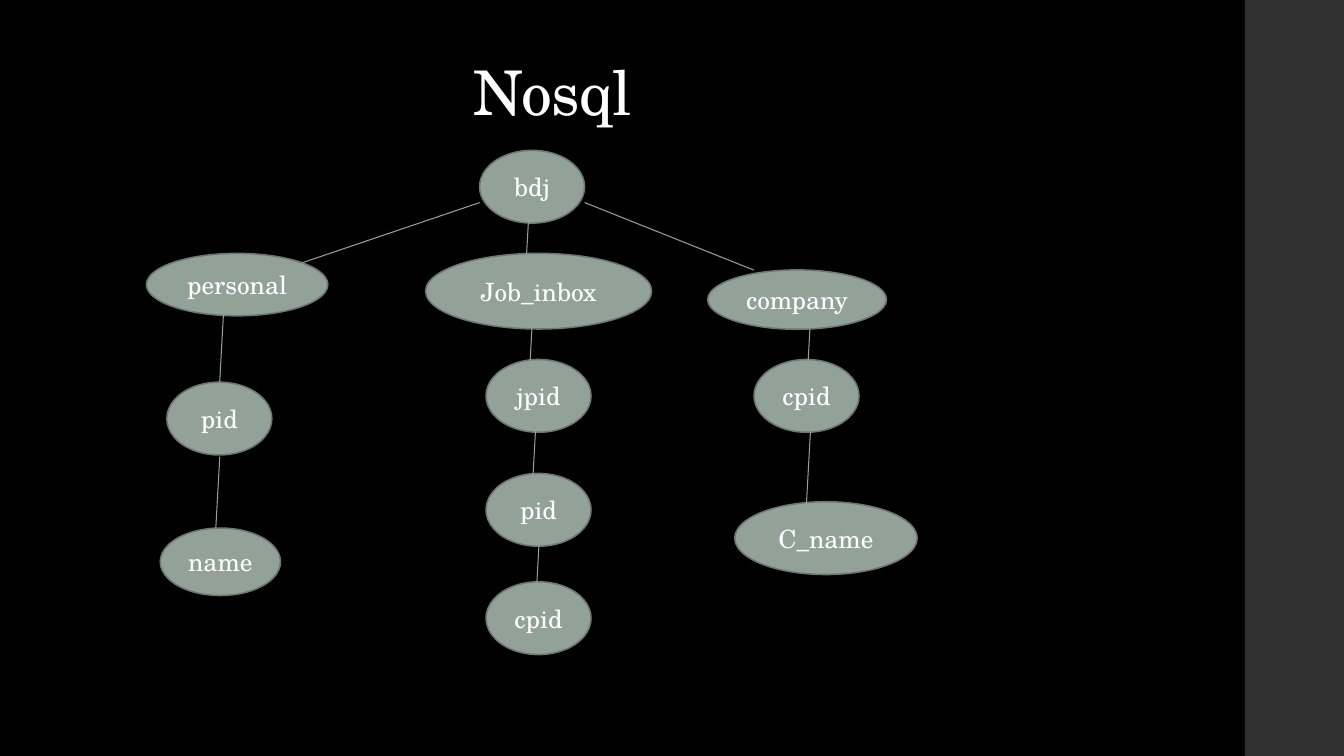
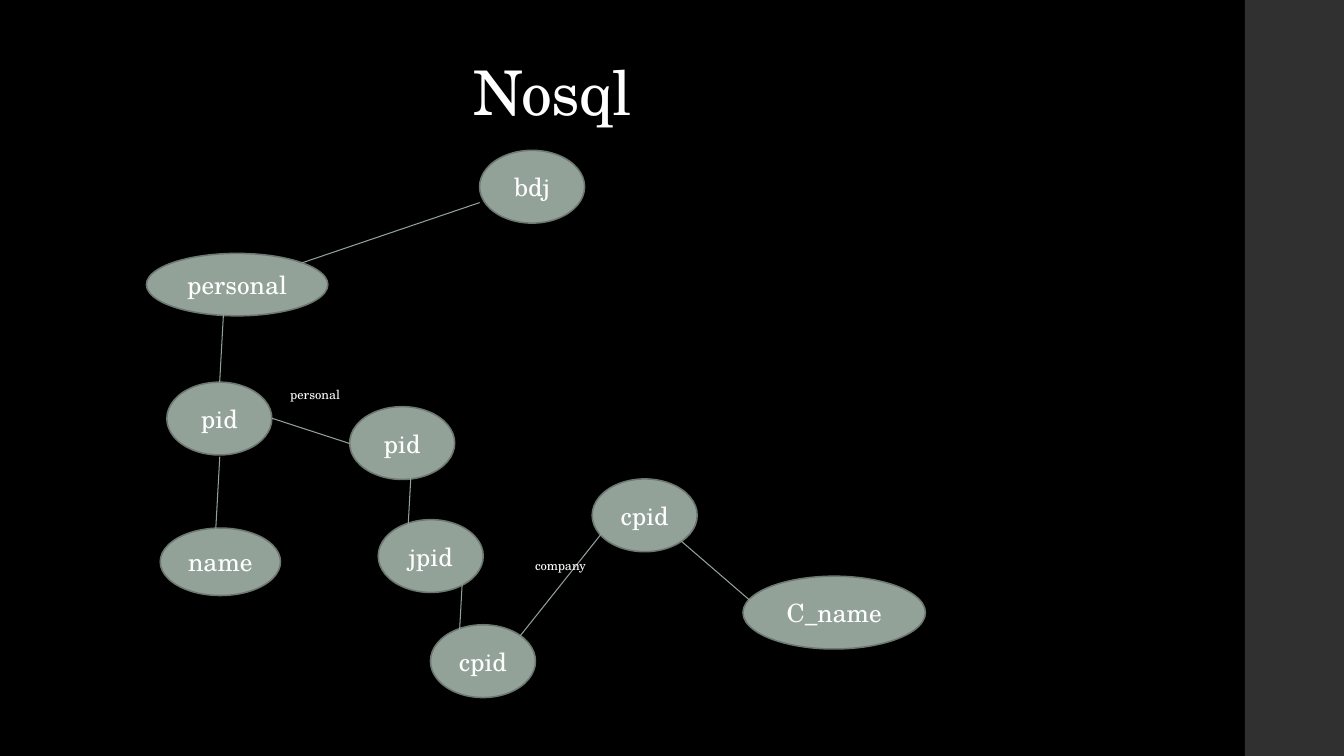
from dataclasses import dataclass

import lxml.etree
import pptx
import pptx.dml.color
import pptx.enum.shapes
import pptx.enum.text
import pptx.oxml.ns
import pptx.util

Pt = pptx.util.Pt
RGB = pptx.dml.color.RGBColor.from_string
MSO_ANCHOR = pptx.enum.text.MSO_ANCHOR
PP_ALIGN = pptx.enum.text.PP_ALIGN
SHAPE = pptx.enum.shapes.MSO_SHAPE


# Theme
@dataclass(frozen=True)
class Theme:
    background: str = "000000"
    band: str = "303030"
    node: str = "93A299"
    outline: str = "6D7871"
    text: str = "FFFFFF"
    font: str = "TeX Gyre Schola"
    title_size: float = 44
    node_size: float = 18
    label_size: float = 9
    outline_width: float = 1.1
    edge_width: float = 0.75


THEME = Theme()


# Diagram parts, all lengths in points
@dataclass(frozen=True)
class Node:
    text: str
    x: float
    y: float
    w: float = 75
    h: float = 52


@dataclass(frozen=True)
class Edge:
    x1: float
    y1: float
    x2: float
    y2: float


@dataclass(frozen=True)
class Label:
    text: str
    x: float
    y: float
    w: float = 59.8
    h: float = 18


@dataclass(frozen=True)
class Diagram:
    title: str
    nodes: list[Node]
    edges: list[Edge]
    labels: list[Label]


def drop(x: float, y: float) -> Edge:
    """The short, slightly slanted edge between a node and the one below."""
    return Edge(x, y, x - 2.9, y + 52.2)


# Content: the personal branch stands on both slides
PERSONAL_NODES = [
    Node("bdj", 342.6, 107.4),
    Node("personal", 104.6, 181, 129.6, 44.6),
    Node("pid", 119.2, 273),
    Node("name", 114.5, 377.2, 85.9, 48.2),
]
PERSONAL_EDGES = [
    Edge(342.7, 144.7, 215.3, 187.9),
    drop(159.8, 221),
    drop(157, 326.2),
]
DIAGRAMS = [
    Diagram(
        "Nosql",
        PERSONAL_NODES + [
            Node("Job_inbox", 304, 181, 161.5, 54),
            Node("company", 505.5, 192.8, 127.7, 42.4),
            Node("jpid", 347.2, 256.8),
            Node("pid", 347.2, 338.2),
            Node("cpid", 347.2, 415.6),
            Node("cpid", 538.6, 256.8),
            Node("C_name", 524.8, 358.4, 130.3),
        ],
        PERSONAL_EDGES + [
            drop(380.2, 230.4),
            drop(383, 298.8),
            drop(385.9, 373),
            drop(578.9, 228.2),
            drop(578.9, 308.2),
            Edge(417.6, 144.7, 538.6, 193),
            drop(378, 148.3),
        ],
        [],
    ),
    Diagram(
        "Nosql",
        PERSONAL_NODES + [
            Node("jpid", 270.2, 371.2),
            Node("pid", 249.8, 290.5),
            Node("cpid", 307.5, 446.3),
            Node("cpid", 423, 342.1),
            Node("C_name", 530.7, 411.6, 130.3),
        ],
        PERSONAL_EDGES + [
            drop(293.8, 334.8),
            Edge(435.6, 373.7, 371.5, 454.3),
            Edge(486.7, 386.6, 544.3, 436.3),
            drop(330.5, 410.4),
            Edge(194.4, 298.8, 249.8, 316.8),
        ],
        [Label("personal", 200.2, 272.9), Label("company", 375.1, 395.3)],
    ),
]


# Drawing functions
def add_run(p, text: str, size: float):
    r = p.add_run()
    r.text = text
    r.font.size = Pt(size)
    r.font.name = THEME.font
    r.font.color.rgb = RGB(THEME.text)
    return r


def set_title(s, text: str) -> None:
    sp = s.shapes.title
    sp.left, sp.top, sp.width, sp.height = Pt(331.2), Pt(38.2), Pt(399.6), Pt(57.6)
    tf = sp.text_frame
    tf.auto_size = pptx.enum.text.MSO_AUTO_SIZE.NONE
    tf.vertical_anchor = MSO_ANCHOR.BOTTOM
    p = tf.paragraphs[0]
    p.alignment = PP_ALIGN.LEFT
    p.line_spacing = 0.9
    r = add_run(p, text, THEME.title_size)
    r.font._element.set("spc", "-50")


def add_node(s, node: Node) -> None:
    sp = s.shapes.add_shape(SHAPE.OVAL, Pt(node.x), Pt(node.y), Pt(node.w), Pt(node.h))
    sp.shadow.inherit = False
    sp.fill.solid()
    sp.fill.fore_color.rgb = RGB(THEME.node)
    sp.line.color.rgb = RGB(THEME.outline)
    sp.line.width = Pt(THEME.outline_width)
    tf = sp.text_frame
    tf.word_wrap = False
    tf.vertical_anchor = MSO_ANCHOR.MIDDLE
    p = tf.paragraphs[0]
    p.alignment = PP_ALIGN.CENTER
    add_run(p, node.text, THEME.node_size)


def add_edge(s, edge: Edge) -> None:
    line = s.shapes.add_connector(
        pptx.enum.shapes.MSO_CONNECTOR.STRAIGHT,
        Pt(edge.x1), Pt(edge.y1), Pt(edge.x2), Pt(edge.y2))
    line.line.color.rgb = RGB(THEME.node)
    line.line.width = Pt(THEME.edge_width)
    lxml.etree.SubElement(line.element.spPr, pptx.oxml.ns.qn("a:effectLst"))


def add_label(s, label: Label) -> None:
    sp = s.shapes.add_textbox(Pt(label.x), Pt(label.y), Pt(label.w), Pt(label.h))
    tf = sp.text_frame
    tf.word_wrap = True
    tf.auto_size = pptx.enum.text.MSO_AUTO_SIZE.SHAPE_TO_FIT_TEXT
    add_run(tf.paragraphs[0], label.text, THEME.label_size)


def style_layout(layout, s) -> None:
    """Give the layout its background and side band, made on s and moved over."""
    fill = layout.background.fill
    fill.solid()
    fill.fore_color.rgb = RGB(THEME.background)
    band = s.shapes.add_shape(SHAPE.RECTANGLE, Pt(889.2), Pt(0), Pt(70.8), Pt(540))
    band.shadow.inherit = False
    band.fill.solid()
    band.fill.fore_color.rgb = RGB(THEME.band)
    band.line.fill.background()
    band.element.nvSpPr.cNvPr.set("id", "20")
    layout.shapes.element.append(band.element)


# Build the deck
def main() -> None:
    prs = pptx.Presentation()
    prs.slide_width, prs.slide_height = Pt(960), Pt(540)
    layout = prs.slide_layouts.get_by_name("Title Only")
    slides = [prs.slides.add_slide(layout) for _ in DIAGRAMS]
    style_layout(layout, slides[0])
    for s, diagram in zip(slides, DIAGRAMS):
        set_title(s, diagram.title)
        for node in diagram.nodes:
            add_node(s, node)
        for edge in diagram.edges:
            add_edge(s, edge)
        for label in diagram.labels:
            add_label(s, label)
    prs.save("out.pptx")


main()
